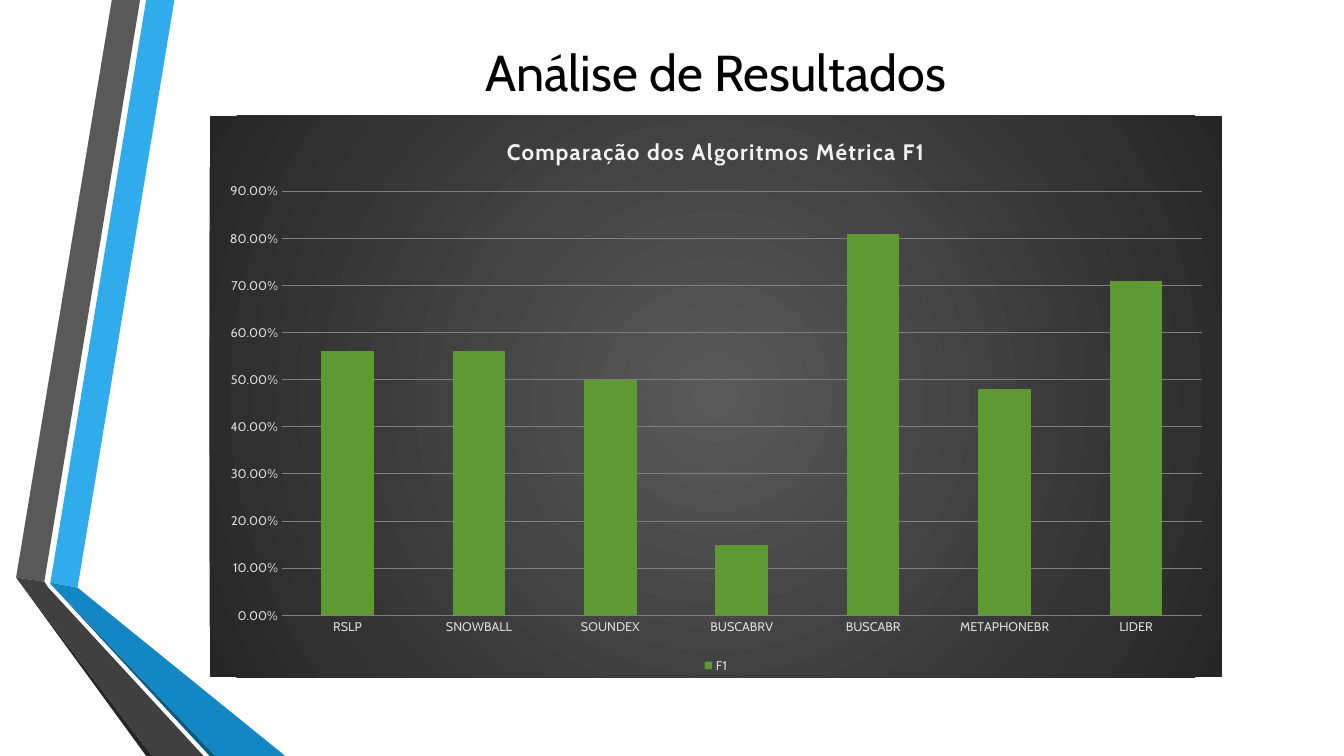
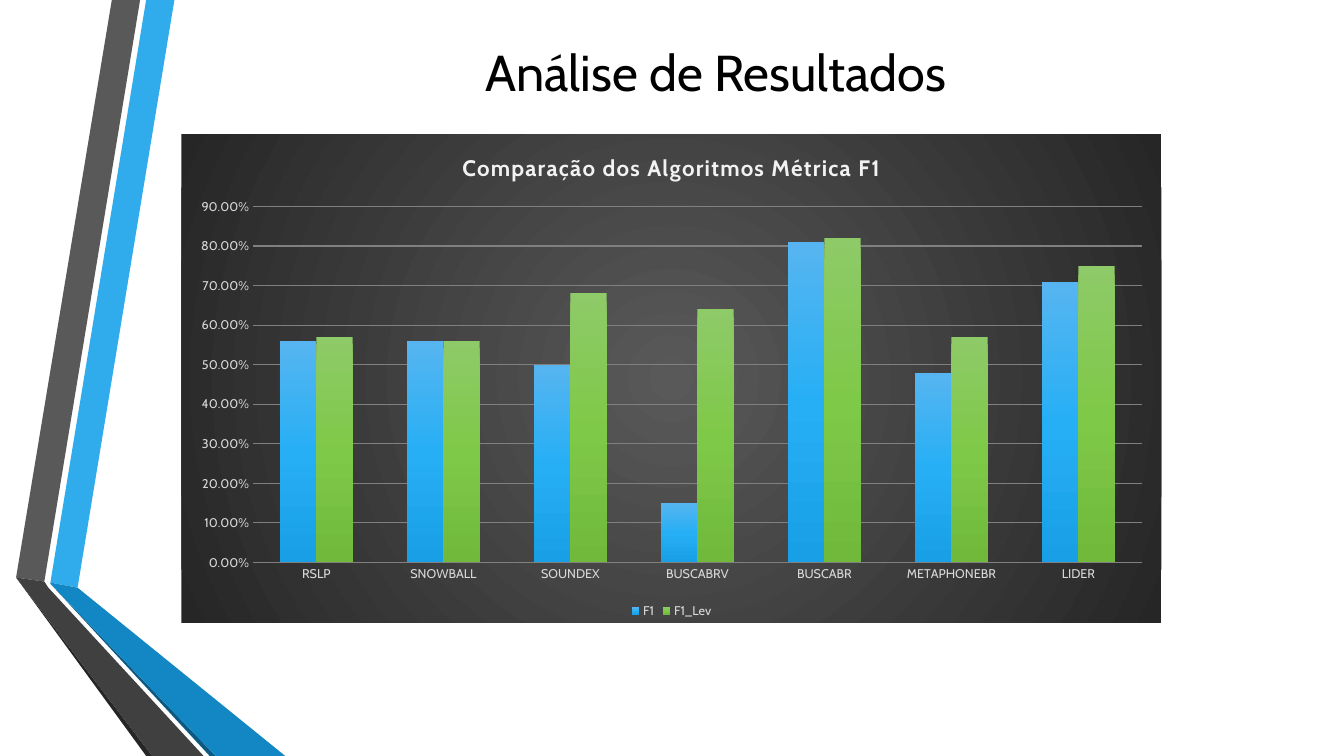
"""Build two result slides, each with a dark column chart beside folded ribbons."""
import dataclasses

import pptx
import pptx.chart.data
import pptx.dml.color
import pptx.enum.chart
import pptx.enum.text
import pptx.oxml
import pptx.oxml.ns
import pptx.util

Inches = pptx.util.Inches


@dataclasses.dataclass(frozen=True)
class Theme:
    """Colours, font and type sizes of the deck."""
    font: str = "Cabin"
    title_size: int = 36
    chart_title_size: int = 16
    label_size: int = 9
    title: str = "000000"
    chart_title: str = "F2F2F2"
    label: str = "D9D9D9"
    grid: str = "808080"
    panel: tuple = ("595959", "262626")
    green: tuple = ("5F9934",)
    blue_fade: tuple = ("56B5F0", "27AFF5", "189FE5")
    green_fade: tuple = ("8ECA68", "7FC949", "70B93B")


RIBBONS = [
    ("30ACEC", [(0.5, 5.78), (0.77, 5.83), (1.73, 0), (1.45, 0)]),
    ("595959", [(1.39, 0), (1.11, 0), (0.16, 5.73), (0.44, 5.77)]),
    ("262626", [(0.16, 5.73), (1.45, 7.5), (1.51, 7.5)]),
    ("0C5A82", [(0.5, 5.79), (2.08, 7.5), (2.14, 7.5)]),
    ("1287C3", [(0.5, 5.79), (2.14, 7.5), (2.83, 7.5), (0.77, 5.83), (0.5, 5.78)]),
    ("404040", [(2.02, 7.5), (0.48, 5.83), (0.44, 5.77), (0.16, 5.73), (1.51, 7.5)]),
]
ALGORITHMS = ["RSLP", "SNOWBALL", "SOUNDEX", "BUSCABRV", "BUSCABR", "METAPHONEBR", "LIDER"]
F1 = [0.56, 0.56, 0.5, 0.15, 0.81, 0.48, 0.71]
F1_LEV = [0.57, 0.56, 0.68, 0.64, 0.82, 0.57, 0.75]


def rgb(code):
    """Return the colour object for a hex code."""
    return pptx.dml.color.RGBColor.from_string(code)


def gradient(colors, direction):
    """Return a gradient fill with evenly spaced stops."""
    step = 100000 // (len(colors) - 1)
    stops = "".join(
        f'<a:gs pos="{index * step}"><a:srgbClr val="{color}"/></a:gs>'
        for index, color in enumerate(colors))
    return pptx.oxml.parse_xml(
        f'<a:gradFill {pptx.oxml.ns.nsdecls("a")} rotWithShape="1">'
        f"<a:gsLst>{stops}</a:gsLst>{direction}</a:gradFill>")


class Composer:
    """Hold the theme and the current page, and draw each kind of element."""

    def __init__(self, theme):
        """Start a widescreen deck."""
        self.theme = theme
        self.deck = pptx.Presentation()
        self.deck.slide_width, self.deck.slide_height = Inches(13.33), Inches(7.5)
        self.page = None

    def style(self, font, size, color, bold=False):
        """Apply the theme font with a size and a colour."""
        font.name, font.size, font.bold = self.theme.font, pptx.util.Pt(size), bold
        font.color.rgb = rgb(color)

    def add_page(self, title):
        """Add a blank page with the ribbons and a title."""
        self.page = self.deck.slides.add_slide(self.deck.slide_layouts[6])
        for color, corners in RIBBONS:
            self.ribbon(color, corners)
        self.title(title)

    def ribbon(self, color, corners):
        """Draw one flat ribbon face."""
        points = [(Inches(x), Inches(y)) for x, y in corners]
        builder = self.page.shapes.build_freeform(*points[0])
        builder.add_line_segments(points[1:], close=True)
        face = builder.convert_to_shape()
        face.shadow.inherit = False
        face.fill.solid()
        face.fill.fore_color.rgb = rgb(color)
        face.line.fill.background()

    def title(self, text):
        """Write the centred page title."""
        box = self.page.shapes.add_textbox(
            Inches(1.62), Inches(0.36), Inches(10.96), Inches(0.7))
        frame = box.text_frame
        frame.word_wrap = True
        frame.vertical_anchor = pptx.enum.text.MSO_ANCHOR.MIDDLE
        para = frame.paragraphs[0]
        para.text = text
        para.alignment = pptx.enum.text.PP_ALIGN.CENTER
        self.style(para.font, self.theme.title_size, self.theme.title)

    def column_chart(self, bounds, title, columns):
        """Draw a column chart from (name, values, colours) columns."""
        data = pptx.chart.data.CategoryChartData(number_format="0.00%")
        data.categories = ALGORITHMS
        for name, values, _ in columns:
            data.add_series(name, values)
        chart = self.page.shapes.add_chart(
            pptx.enum.chart.XL_CHART_TYPE.COLUMN_CLUSTERED,
            *map(Inches, bounds), data).chart
        self.style(chart.font, 10, self.theme.title)
        self.chart_title(chart, title)
        self.axes(chart)
        self.legend(chart)
        self.panel(chart)
        self.columns(chart, [colors for _, _, colors in columns])

    def chart_title(self, chart, text):
        """Write the letter-spaced chart title."""
        chart.has_title = True
        chart.chart_title.include_in_layout = False
        para = chart.chart_title.text_frame.paragraphs[0]
        span = para.add_run()
        span.text = text
        self.style(span.font, self.theme.chart_title_size, self.theme.chart_title, True)
        span.font._element.set("spc", "100")

    def axes(self, chart):
        """Style both axes and the grid."""
        for axis in (chart.category_axis, chart.value_axis):
            axis.major_tick_mark = pptx.enum.chart.XL_TICK_MARK.NONE
            axis.minor_tick_mark = pptx.enum.chart.XL_TICK_MARK.NONE
            axis.format.line.fill.background()
            self.style(axis.tick_labels.font, self.theme.label_size, self.theme.label)
        scale = chart.value_axis
        scale.minimum_scale, scale.maximum_scale, scale.major_unit = 0, 0.9, 0.1
        scale.tick_labels.number_format = "0.00%"
        scale.tick_labels.number_format_is_linked = False
        grid = scale.major_gridlines.format.line
        grid.width = pptx.util.Pt(0.75)
        grid.color.rgb = rgb(self.theme.grid)

    def legend(self, chart):
        """Place the legend below the plot."""
        chart.has_legend = True
        chart.legend.position = pptx.enum.chart.XL_LEGEND_POSITION.BOTTOM
        chart.legend.include_in_layout = False
        self.style(chart.legend.font, self.theme.label_size, self.theme.label)

    def panel(self, chart):
        """Fill the chart background with a radial gradient."""
        panel = pptx.oxml.parse_xml(
            f'<c:spPr {pptx.oxml.ns.nsdecls("c", "a")}><a:ln><a:noFill/></a:ln></c:spPr>')
        panel.insert(0, gradient(
            self.theme.panel,
            '<a:path path="circle">'
            '<a:fillToRect l="50000" t="50000" r="50000" b="50000"/></a:path>'))
        chart.element.find(pptx.oxml.ns.qn("c:chart")).addnext(panel)

    def columns(self, chart, palettes):
        """Colour each series with one colour or a vertical gradient."""
        plot = chart.plots[0]
        plot.vary_by_categories = False
        plot.gap_width, plot.overlap = 150, 0
        nodes = chart.element.iter(pptx.oxml.ns.qn("c:ser"))
        for series, node, colors in zip(plot.series, nodes, palettes):
            series.invert_if_negative = False
            series.format.fill.solid()
            series.format.fill.fore_color.rgb = rgb(colors[0])
            if len(colors) > 1:
                properties = node.find(pptx.oxml.ns.qn("c:spPr"))
                solid = properties.find(pptx.oxml.ns.qn("a:solidFill"))
                properties.replace(solid, gradient(colors, '<a:lin ang="5400000" scaled="0"/>'))


theme = Theme()
composer = Composer(theme)
charts = [
    ((2.08, 1.15, 10.04, 5.57), [("F1", F1, theme.green)]),
    ((1.8, 1.33, 9.72, 4.85),
     [("F1", F1, theme.blue_fade), ("F1_Lev", F1_LEV, theme.green_fade)]),
]
for bounds, columns in charts:
    composer.add_page("Análise de Resultados")
    composer.column_chart(bounds, "Comparação dos Algoritmos Métrica F1", columns)
composer.deck.save("out.pptx")
